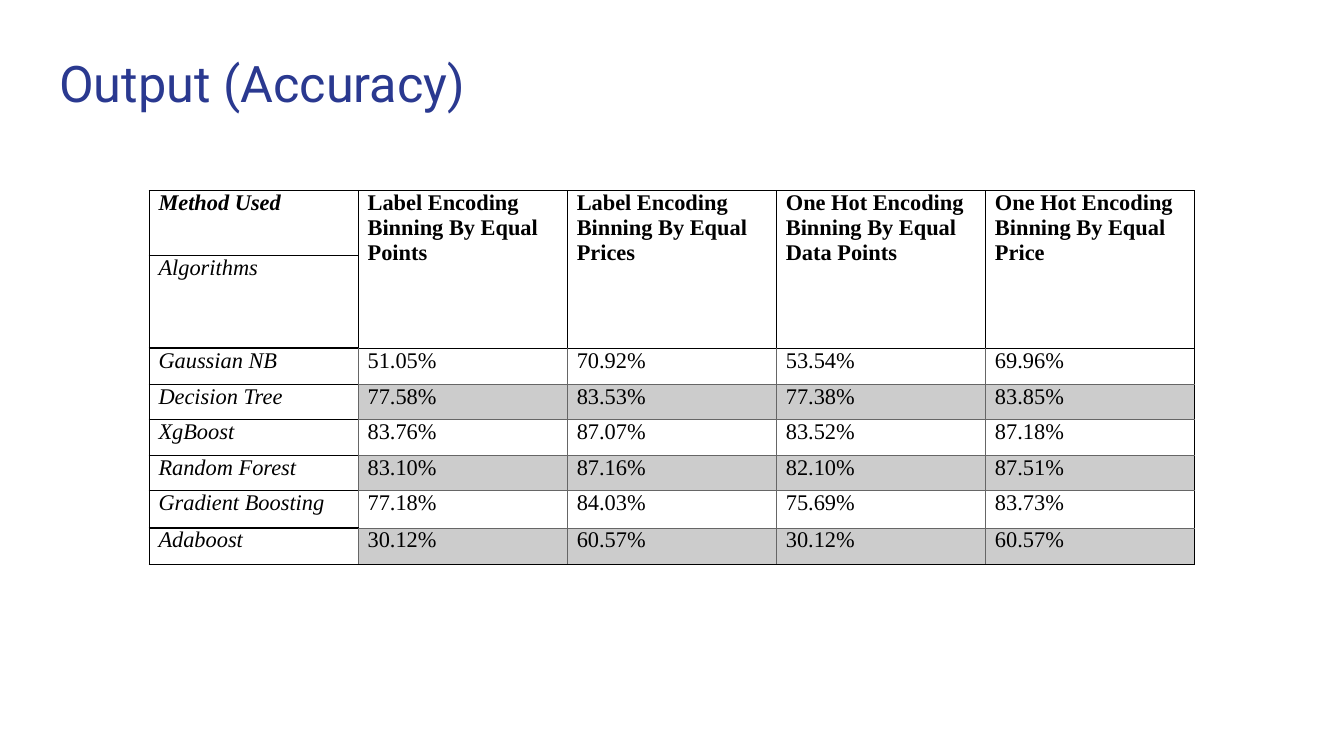
"""Build a slide with a table of model accuracy by encoding and binning method."""
from dataclasses import dataclass

from lxml import etree
from pptx import Presentation
from pptx.dml.color import RGBColor
from pptx.enum.text import MSO_ANCHOR, MSO_AUTO_SIZE, PP_ALIGN
from pptx.oxml.ns import qn
from pptx.slide import Slide
from pptx.table import _Cell
from pptx.util import Inches, Pt

LEFT, JUSTIFY = PP_ALIGN.LEFT, PP_ALIGN.JUSTIFY
TOP = MSO_ANCHOR.TOP
NO_AUTOFIT = MSO_AUTO_SIZE.NONE
BLACK, GREY, WHITE, BAND, NAVY = "000000", "666666", "FFFFFF", "CCCCCC", "2A3990"
THIN, THICK = 0.5, 0.75
TABLE_FONT = "Times New Roman"
SLIDE_WIDTH = 10
SLIDE_HEIGHT = SLIDE_WIDTH * 9 / 16
CELL_FORMAT = {
    "margin_left": Inches(0.07),
    "margin_right": Inches(0.07),
    "margin_top": 0,
    "margin_bottom": 0,
    "vertical_anchor": TOP,
}
TITLE_PLACE = {
    "left": Inches(0.34),
    "top": Inches(0.29),
    "width": Inches(9.32),
    "height": Inches(0.66),
}
TITLE_FRAME = {"auto_size": NO_AUTOFIT, "vertical_anchor": TOP, "word_wrap": True}


@dataclass
class Edge:
    """A cell border."""
    color: str = BLACK
    width: float = THIN


@dataclass
class CellLook:
    """The format of one table cell."""
    left: Edge
    right: Edge
    top: Edge
    bottom: Edge
    fill: str | None = WHITE
    bold: bool = False
    italic: bool = False
    align: PP_ALIGN = JUSTIFY


@dataclass
class Result:
    """The accuracy of one algorithm under each method."""
    algorithm: str
    accuracies: tuple[str, ...]


METHODS = (
    "Label Encoding Binning By Equal Points",
    "Label Encoding Binning By Equal Prices",
    "One Hot Encoding Binning By Equal Data Points",
    "One Hot Encoding Binning By Equal Price",
)
RESULTS = (
    Result("Gaussian NB", ("51.05%", "70.92%", "53.54%", "69.96%")),
    Result("Decision Tree", ("77.58%", "83.53%", "77.38%", "83.85%")),
    Result("XgBoost", ("83.76%", "87.07%", "83.52%", "87.18%")),
    Result("Random Forest", ("83.10%", "87.16%", "82.10%", "87.51%")),
    Result("Gradient Boosting", ("77.18%", "84.03%", "75.69%", "83.73%")),
    Result("Adaboost", ("30.12%", "60.57%", "30.12%", "60.57%")),
)
LABELS = ("Method Used", "Algorithms", *(result.algorithm for result in RESULTS))
ROW_HEIGHTS = (0.48, 0.69, 0.27, 0.26, 0.27, 0.26, 0.28, 0.27)
FIRST_RESULT = 2
LAST_ROW = len(LABELS) - 1


def rgb(color: str) -> RGBColor:
    """Turn a hex string into a colour."""
    return RGBColor.from_string(color)


def draw_edge(cell: _Cell, tag: str, edge: Edge) -> None:
    """Add one solid border to a cell."""
    properties = cell._tc.get_or_add_tcPr()
    line = etree.SubElement(properties, qn(tag), w=str(Pt(edge.width)))
    fill = etree.SubElement(line, qn("a:solidFill"))
    etree.SubElement(fill, qn("a:srgbClr"), val=edge.color)


def write_cell(cell: _Cell, text: str, look: CellLook) -> None:
    """Write and format one cell."""
    for name, value in CELL_FORMAT.items():
        setattr(cell, name, value)
    edges = {"a:lnL": look.left, "a:lnR": look.right, "a:lnT": look.top, "a:lnB": look.bottom}
    for tag, edge in edges.items():
        draw_edge(cell, tag, edge)
    if look.fill:
        cell.fill.solid()
        cell.fill.fore_color.rgb = rgb(look.fill)
    else:
        cell.fill.background()
    cell.text = text
    paragraph = cell.text_frame.paragraphs[0]
    paragraph.alignment = look.align
    font = paragraph.runs[0].font
    font_format = {"name": TABLE_FONT, "size": Pt(12), "bold": look.bold, "italic": look.italic}
    for name, value in font_format.items():
        setattr(font, name, value)
    font.color.rgb = rgb(BLACK)


def label_look(row: int) -> CellLook:
    """Give the format of a cell in the label column."""
    return CellLook(
        left=Edge(),
        right=Edge(BLACK if row < FIRST_RESULT else GREY),
        top=Edge(width=THICK if row else THIN),
        bottom=Edge(width=THIN if row == LAST_ROW else THICK),
        bold=row == 0,
        italic=True,
    )


def accuracy_look(row: int, column: int) -> CellLook:
    """Give the format of an accuracy cell."""
    return CellLook(
        left=Edge(GREY),
        right=Edge(BLACK if column == len(METHODS) else GREY),
        top=Edge(BLACK if row == FIRST_RESULT else GREY),
        bottom=Edge(BLACK if row == LAST_ROW else GREY),
        fill=BAND if row % 2 else None,
    )


def add_title(slide: Slide, text: str) -> None:
    """Fill and place the title."""
    title = slide.shapes.title
    for name, value in TITLE_PLACE.items():
        setattr(title, name, value)
    frame = title.text_frame
    for name, value in TITLE_FRAME.items():
        setattr(frame, name, value)
    for side in ("left", "right", "top", "bottom"):
        setattr(frame, f"margin_{side}", Inches(0.1))
    frame.text = text
    paragraph = frame.paragraphs[0]
    paragraph.alignment = LEFT
    font = paragraph.runs[0].font
    font.name, font.size = "Roboto", Pt(27)
    font.color.rgb = rgb(NAVY)


def add_accuracy_table(slide: Slide) -> None:
    """Draw the table of accuracies."""
    table = slide.shapes.add_table(
        len(LABELS), len(METHODS) + 1,
        Inches(1.11), Inches(1.42), Inches(7.78), Inches(sum(ROW_HEIGHTS)),
    ).table
    for row, height in zip(table.rows, ROW_HEIGHTS):
        row.height = Inches(height)
    for row, label in enumerate(LABELS):
        write_cell(table.cell(row, 0), label, label_look(row))
    header = CellLook(Edge(), Edge(), Edge(), Edge(), bold=True, align=LEFT)
    for column, method in enumerate(METHODS, 1):
        table.cell(0, column).merge(table.cell(1, column))
        write_cell(table.cell(0, column), method, header)
    for row, result in enumerate(RESULTS, FIRST_RESULT):
        for column, accuracy in enumerate(result.accuracies, 1):
            write_cell(table.cell(row, column), accuracy, accuracy_look(row, column))


def main() -> None:
    """Build and save the slide."""
    presentation = Presentation()
    presentation.slide_width = Inches(SLIDE_WIDTH)
    presentation.slide_height = Inches(SLIDE_HEIGHT)
    slide = presentation.slides.add_slide(presentation.slide_layouts[5])
    add_title(slide, "Output (Accuracy)")
    add_accuracy_table(slide)
    presentation.save("out.pptx")


if __name__ == "__main__":
    main()
